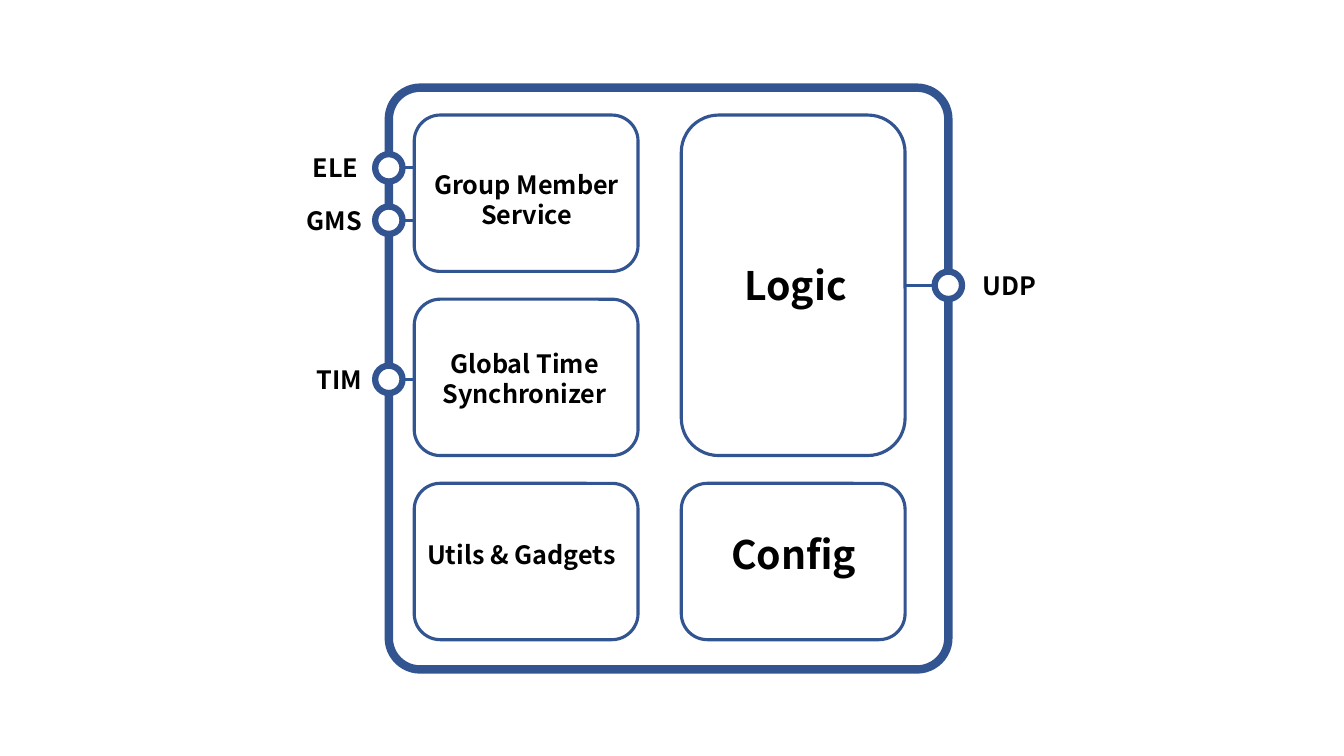
from dataclasses import dataclass

from lxml import etree
from pptx import Presentation
from pptx.dml.color import RGBColor
from pptx.enum.shapes import MSO_CONNECTOR, MSO_SHAPE
from pptx.enum.text import MSO_ANCHOR, PP_ALIGN
from pptx.oxml.ns import qn
from pptx.util import Cm, Pt

ROUNDED = MSO_SHAPE.ROUNDED_RECTANGLE
CIRCLE = MSO_SHAPE.OVAL
STRAIGHT = MSO_CONNECTOR.STRAIGHT
CENTER = PP_ALIGN.CENTER
MIDDLE = MSO_ANCHOR.MIDDLE
RIGHT_SIDE = 3


@dataclass(frozen=True)
class Theme:
    font: str = "Noto Sans CJK SC"
    text: RGBColor = RGBColor(0, 0, 0)
    outline: RGBColor = RGBColor(0x32, 0x54, 0x91)
    link: RGBColor = RGBColor(0x2F, 0x55, 0x97)
    port_fill: RGBColor = RGBColor(0xFF, 0xFF, 0xFF)
    small: int = 18
    large: int = 28
    frame_line: float = 6
    port_line: float = 4.5
    thin_line: float = 2.25


# Layout in centimetres
FRAME_X, FRAME_Y, FRAME_W, FRAME_H = 9.8, 2.21, 14.1, 14.66
COLUMNS = (10.44, 17.17)
ROW_TOP, ROW_PITCH = 2.9, 4.64
MODULE_W, MODULE_H = 5.64, 3.94
PORT = 0.69
LABEL_W, LABEL_H = 3.3, 1.02


def write(frame, text, *, font, size, color, bold=True, align=CENTER):
    frame.word_wrap = True
    frame.vertical_anchor = MIDDLE
    paragraph = frame.paragraphs[0]
    paragraph.alignment = align
    run = paragraph.add_run()
    run.text = text
    run.font.name = font
    run.font.size = Pt(size)
    run.font.bold = bold
    run.font.color.rgb = color


class Diagram:
    def __init__(self, slide, theme):
        self.slide = slide
        self.theme = theme

    def outline(self, kind, x, y, w, h, weight, fill=None):
        shape = self.slide.shapes.add_shape(kind, Cm(x), Cm(y), Cm(w), Cm(h))
        shape.shadow.inherit = False
        if fill is None:
            shape.fill.background()
        else:
            shape.fill.solid()
            shape.fill.fore_color.rgb = fill
        shape.line.color.rgb = self.theme.outline
        shape.line.width = Pt(weight)
        return shape

    def module(self, column, row, rows=1):
        height = MODULE_H + (rows - 1) * ROW_PITCH
        return self.outline(ROUNDED, COLUMNS[column], ROW_TOP + row * ROW_PITCH,
                            MODULE_W, height, self.theme.thin_line)

    def port(self, x, y):
        return self.outline(CIRCLE, x - PORT / 2, y - PORT / 2, PORT, PORT,
                            self.theme.port_line, self.theme.port_fill)

    def link(self, x1, x2, y):
        line = self.slide.shapes.add_connector(STRAIGHT, Cm(x1), Cm(y), Cm(x2), Cm(y))
        line.line.color.rgb = self.theme.link
        line.line.width = Pt(self.theme.thin_line)
        etree.SubElement(line._element.spPr, qn("a:effectLst"))
        return line

    def label(self, text, x, y, w, h, size):
        box = self.slide.shapes.add_textbox(Cm(x - w / 2), Cm(y - h / 2), Cm(w), Cm(h))
        write(box.text_frame, text, font=self.theme.font, size=size,
              color=self.theme.text)


def main():
    deck = Presentation()
    deck.slide_width, deck.slide_height = Cm(33.87), Cm(19.05)
    theme = Theme()
    diagram = Diagram(deck.slides.add_slide(deck.slide_layouts[6]), theme)

    # System boundary
    boundary = diagram.outline(ROUNDED, FRAME_X, FRAME_Y, FRAME_W, FRAME_H,
                               theme.frame_line)
    boundary.adjustments[0] = 0.056

    # Modules
    for row in range(3):
        diagram.module(0, row)
    logic = diagram.module(1, 0, rows=2)
    diagram.module(1, 2)

    # Ports on the left: name, centre height, label centre
    for name, y, label_x in (("ELE", 4.23, 8.46), ("GMS", 5.55, 8.43),
                             ("TIM", 9.56, 8.56)):
        diagram.port(FRAME_X, y)
        diagram.link(COLUMNS[0], FRAME_X + PORT / 2, y)
        diagram.label(name, label_x, y, LABEL_W, LABEL_H, theme.small)

    # Port on the right, level with the middle of Logic
    udp_x = FRAME_X + FRAME_W
    udp_y = ROW_TOP + (ROW_PITCH + MODULE_H) / 2
    diagram.port(udp_x, udp_y)
    udp_link = diagram.link(COLUMNS[1] + MODULE_W, udp_x - PORT / 2, udp_y)
    udp_link.begin_connect(logic, RIGHT_SIDE)
    diagram.label("UDP", 25.43, udp_y, LABEL_W, LABEL_H, theme.small)

    # Module captions: text, centre, height, type size
    for caption, x, y, height, size in (
        ("Group Member Service", 13.27, 5.02, 1.8, theme.small),
        ("Global Time Synchronizer", 13.22, 9.54, 1.8, theme.small),
        ("Utils & Gadgets", 13.14, 13.97, LABEL_H, theme.small),
        ("Logic", 20.05, 7.18, 1.45, theme.large),
        ("Config", 20, 13.96, 1.45, theme.large),
    ):
        diagram.label(caption, x, y, MODULE_W, height, size)

    deck.save("out.pptx")


if __name__ == "__main__":
    main()
